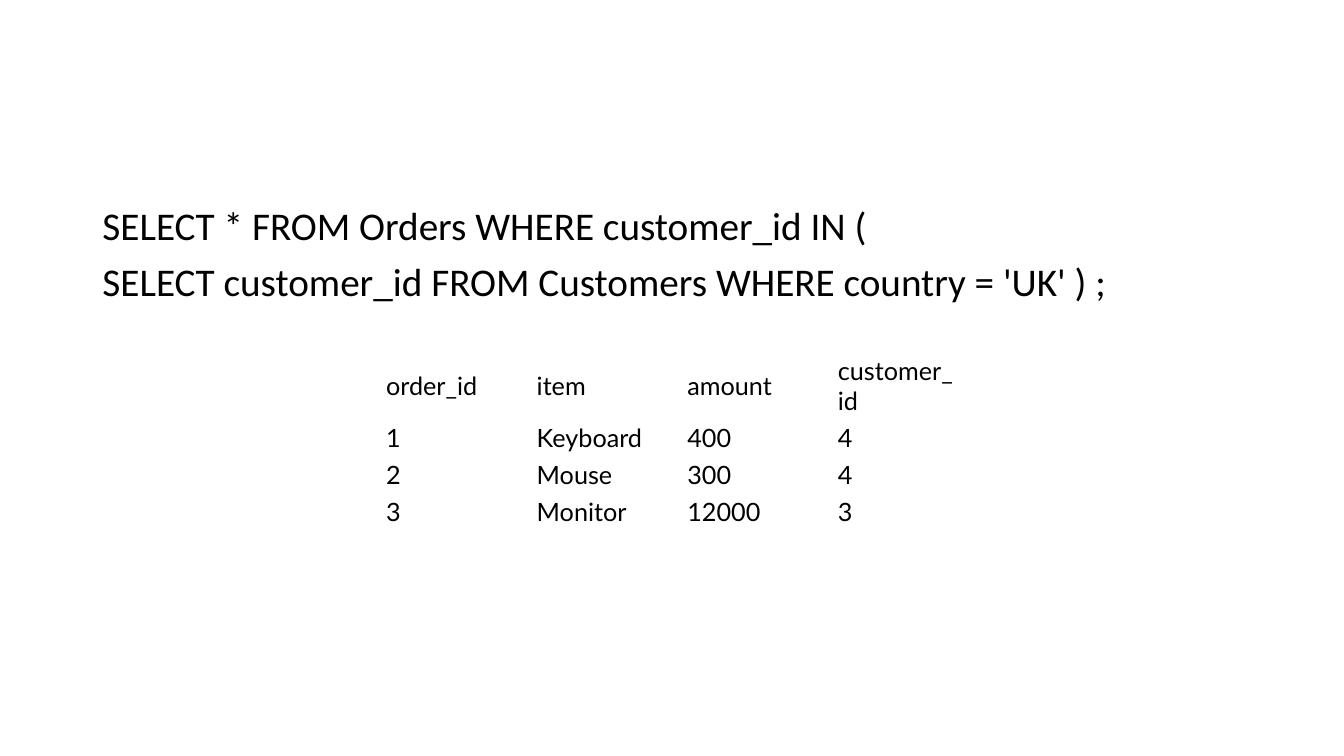
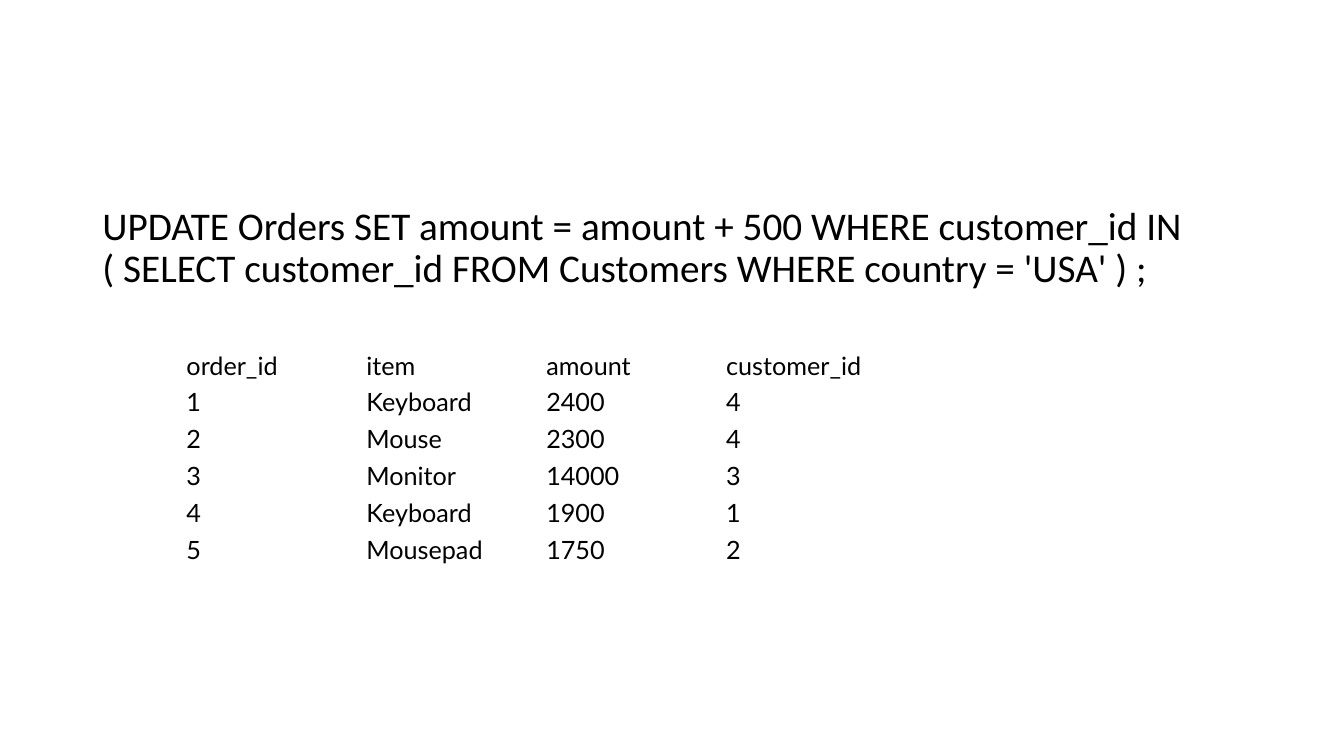
import pptx
import pptx.dml.color
import pptx.enum.text
import pptx.oxml
import pptx.oxml.ns
import pptx.util

Pt = pptx.util.Pt
BLACK = "000000"
WHITE = "FFFFFF"
CELL_MARGIN_X, CELL_MARGIN_Y = Pt(10.8), Pt(2.2)
ROW_HEIGHT = 26.4


def rgb(hex_string):
    return pptx.dml.color.RGBColor.from_string(hex_string)


def add_run(paragraph, text, font_name, size):
    run = paragraph.add_run()
    run.text = text
    run.font.name = font_name
    run.font.size = Pt(size)
    run.font.color.rgb = rgb(BLACK)


HEADER = ("order_id", "item", "amount", "customer_id")
queries = [
    {
        "statement": [
            "SELECT * FROM Orders WHERE customer_id IN (",
            "SELECT customer_id FROM Customers WHERE country = 'UK' ) ;",
        ],
        "rows": [
            ("1", "Keyboard", "400", "4"),
            ("2", "Mouse", "300", "4"),
            ("3", "Monitor", "12000", "3"),
        ],
        "left": 265, "top": 251.3, "column_width": 107.6,
        "header_height": 48.4, "fill": None,
    },
    {
        "statement": [
            "UPDATE Orders SET amount = amount + 500 WHERE customer_id IN "
            "( SELECT customer_id FROM Customers WHERE country = 'USA' ) ;",
        ],
        "rows": [
            ("1", "Keyboard", "2400", "4"),
            ("2", "Mouse", "2300", "4"),
            ("3", "Monitor", "14000", "3"),
            ("4", "Keyboard", "1900", "1"),
            ("5", "Mousepad", "1750", "2"),
        ],
        "left": 122.4, "top": 247.7, "column_width": 128.5,
        "header_height": ROW_HEIGHT, "fill": WHITE,
    },
]

presentation = pptx.Presentation()
presentation.slide_width, presentation.slide_height = Pt(960), Pt(540)
content_layout = presentation.slide_layouts[1]

for query in queries:
    slide = presentation.slides.add_slide(content_layout)
    empty_title = slide.shapes.title.element
    empty_title.getparent().remove(empty_title)

    # SQL statement
    statement = slide.placeholders[1]
    statement.left, statement.top = Pt(66), Pt(143.75)
    statement.width, statement.height = Pt(828), Pt(342.6)
    statement_frame = statement.text_frame
    statement_frame.word_wrap = True
    statement_frame.auto_size = pptx.enum.text.MSO_AUTO_SIZE.NONE
    for index, line in enumerate(query["statement"]):
        paragraph = statement_frame.paragraphs[0] if index == 0 else statement_frame.add_paragraph()
        paragraph.line_spacing = 0.9
        paragraph.space_before = Pt(10)
        properties = paragraph._p.get_or_add_pPr()
        properties.set("marL", "0")
        properties.set("indent", "0")
        properties.append(pptx.oxml.parse_xml(f"<a:buNone {pptx.oxml.ns.nsdecls('a')}/>"))
        add_run(paragraph, line, "Calibri", 28)

    # Orders returned or changed by the statement
    records = [HEADER, *query["rows"]]
    heights = [query["header_height"]] + [ROW_HEIGHT] * len(query["rows"])
    orders = slide.shapes.add_table(
        len(records), len(HEADER), Pt(query["left"]), Pt(query["top"]),
        Pt(query["column_width"] * len(HEADER)), Pt(sum(heights))).table
    orders.first_row = False
    orders.horz_banding = False
    for column in orders.columns:
        column.width = Pt(query["column_width"])
    for row, height, record in zip(orders.rows, heights, records):
        row.height = Pt(height)
        for cell, value in zip(row.cells, record):
            cell.margin_left = cell.margin_right = CELL_MARGIN_X
            cell.margin_top = cell.margin_bottom = CELL_MARGIN_Y
            cell.vertical_anchor = pptx.enum.text.MSO_ANCHOR.MIDDLE
            if query["fill"]:
                cell.fill.solid()
                cell.fill.fore_color.rgb = rgb(query["fill"])
            else:
                cell.fill.background()
            add_run(cell.text_frame.paragraphs[0], value, "Lato", 18)

presentation.save("out.pptx")
